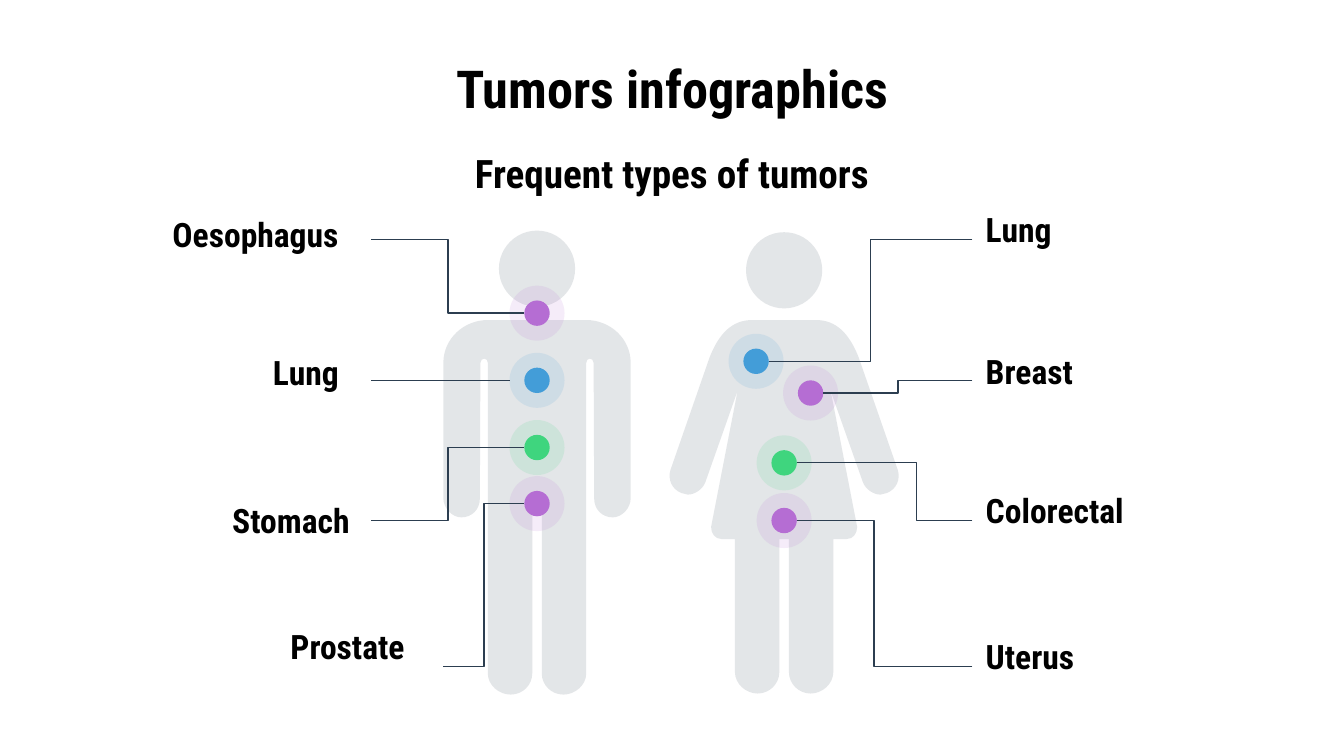
from lxml.etree import SubElement
from pptx import Presentation
from pptx.dml.color import RGBColor
from pptx.enum.shapes import MSO_CONNECTOR as Connector, MSO_SHAPE as Shape
from pptx.enum.text import MSO_ANCHOR as Anchor, PP_ALIGN as Align
from pptx.oxml.ns import qn
from pptx.util import Cm, Pt

FONT = "Roboto Condensed"
COLORS = {
    "text": "000000",
    "navy": "2C3E50",
    "purple": "B56DD3",
    "blue": "439DD8",
    "green": "3FD57E",
}
TINT = 13  # opacity of bodies and halos, in percent
MAN_AXIS, WOMAN_AXIS = 10.15, 14.82
HEAD, HALO, DOT = 1.44, 1.04, 0.48  # diameters
LABEL_HEIGHT = 0.76
LEFT_START, RIGHT_START = 7.02, 18.38

# Half outlines from shoulder to crotch: (distance from the axis, y).
# One point makes a straight line, three make a Bezier curve.
MAN_HALF = [
    [(0.93, 6.05)], [(1.38, 6.05), (1.77, 6.4), (1.77, 6.86)],
    [(1.77, 9.42)], [(1.77, 9.6), (1.61, 9.78), (1.43, 9.78)],
    [(1.23, 9.78), (1.08, 9.63), (1.08, 9.42)],
    [(1.07, 6.86)], [(1.07, 6.81), (1.03, 6.78), (1.0, 6.78)],
    [(0.96, 6.78), (0.93, 6.81), (0.93, 6.86)],
    [(0.93, 12.73)], [(0.93, 12.95), (0.72, 13.13), (0.5, 13.13)],
    [(0.27, 13.13), (0.09, 12.95), (0.09, 12.73)], [(0.09, 9.37)],
]
WOMAN_HALF = [
    [(0.6, 6.05)], [(0.98, 6.05), (1.23, 6.3), (1.41, 6.76)],
    [(2.15, 8.89)], [(2.2, 9.07), (2.12, 9.25), (1.94, 9.32)],
    [(1.89, 9.34), (1.87, 9.35), (1.82, 9.35)],
    [(1.69, 9.35), (1.54, 9.25), (1.49, 9.12)],
    [(0.88, 7.39)], [(1.38, 9.96)],
    [(1.38, 10.08), (1.31, 10.19), (1.18, 10.19)],
    [(0.93, 10.19)], [(0.93, 12.7)],
    [(0.93, 12.93), (0.72, 13.11), (0.5, 13.11)],
    [(0.28, 13.11), (0.09, 12.93), (0.09, 12.7)], [(0.09, 10.19)],
]

# Label, left, width and middle of the label box
LABELS = [
    ("Oesophagus", 3.01, 3.86, 4.43),
    ("Lung", 4.91, 1.96, 7.04),
    ("Stomach", 4.14, 2.9, 9.84),
    ("Prostate", 5.24, 3.15, 12.22),
    ("Lung", RIGHT_START, 5.72, 4.33),
    ("Breast", RIGHT_START, 5.72, 7.01),
    ("Colorectal", RIGHT_START, 5.72, 9.64),
    ("Uterus", RIGHT_START, 5.72, 12.4),
]

# Color, marker centre, connector start, gap before the centre, bend position
MARKERS = [
    ("purple", MAN_AXIS, 5.92, LEFT_START, 4.53, DOT / 2, 0.5),
    ("blue", MAN_AXIS, 7.19, LEFT_START, 7.19, HALO / 2, 0.5),
    ("green", MAN_AXIS, 8.46, LEFT_START, 9.84, DOT / 2, 0.5),
    ("purple", MAN_AXIS, 9.52, 8.38, 12.6, DOT / 2, 0.5),
    ("blue", 14.29, 6.83, RIGHT_START, 4.53, DOT / 2, 0.5),
    ("purple", 15.32, 7.43, RIGHT_START, 7.19, DOT / 2, 0.5),
    ("green", WOMAN_AXIS, 8.75, RIGHT_START, 9.84, DOT / 2, 0.32),
    ("purple", WOMAN_AXIS, 9.84, RIGHT_START, 12.6, DOT / 2, 0.56),
]


def paint(shape, color, opacity=100):
    shape.shadow.inherit = False
    shape.line.fill.background()
    shape.fill.solid()
    shape.fill.fore_color.rgb = RGBColor.from_string(COLORS[color])
    if opacity < 100:
        rgb = shape.fill._xPr.find(".//" + qn("a:srgbClr"))
        SubElement(rgb, qn("a:alpha"), val=str(opacity * 1000))


def add_circle(slide, x, y, diameter, color, opacity=100):
    circle = slide.shapes.add_shape(
        Shape.OVAL, Cm(x - diameter / 2), Cm(y - diameter / 2),
        Cm(diameter), Cm(diameter))
    paint(circle, color, opacity)


def mirror(half):
    """Walk the half outline backwards on the other side of the axis."""
    segments = [[half[-1][-1]]]
    for before, segment in zip(half[-2::-1], half[:0:-1]):
        segments.append(segment[-2::-1] + [before[-1]])
    return [[(-x, y) for x, y in segment] for segment in segments]


def add_body(slide, axis, half):
    segments = [
        [(Cm(axis - x), Cm(y)) for x, y in segment]
        for segment in half + mirror(half)]
    ends = [segment[-1] for segment in segments]
    builder = slide.shapes.build_freeform(*ends[0])
    builder.add_line_segments(ends[1:], close=True)
    body = builder.convert_to_shape()
    paint(body, "navy", TINT)

    # Turn the lines that stand for curves into Bezier curves
    left, top = min(x for x, y in ends), min(y for x, y in ends)
    lines = body._element.findall(".//" + qn("a:lnTo"))
    for line, segment in zip(lines, segments[1:]):
        if len(segment) == 3:
            line.clear()
            curve = line.getparent().makeelement(qn("a:cubicBezTo"))
            for x, y in segment:
                SubElement(curve, qn("a:pt"), x=str(x - left), y=str(y - top))
            line.getparent().replace(line, curve)


def add_text(slide, text, left, middle, width, size, align=Align.LEFT):
    box = slide.shapes.add_textbox(
        Cm(left), Cm(middle - LABEL_HEIGHT / 2), Cm(width), Cm(LABEL_HEIGHT))
    frame = box.text_frame
    frame.word_wrap = True
    frame.vertical_anchor = Anchor.MIDDLE
    frame.margin_top = frame.margin_bottom = Cm(0.25)
    frame.text = text
    paragraph = frame.paragraphs[0]
    paragraph.alignment = align
    font = paragraph.runs[0].font
    font.name, font.size, font.bold = FONT, Pt(size), True
    font.color.rgb = RGBColor.from_string(COLORS["text"])


def add_elbow(slide, start_x, start_y, end_x, end_y, bend):
    elbow = slide.shapes.add_connector(
        Connector.ELBOW, Cm(start_x), Cm(start_y), Cm(end_x), Cm(end_y))
    elbow.line.color.rgb = RGBColor.from_string(COLORS["navy"])
    elbow.line.width = Pt(0.75)
    properties = elbow._element.spPr
    SubElement(properties, qn("a:effectLst"))
    guides = properties.find(".//" + qn("a:avLst"))
    SubElement(guides, qn("a:gd"), name="adj1", fmla=f"val {round(bend * 100000)}")


def add_marker(slide, color, x, y, start_x, start_y, gap, bend):
    add_circle(slide, x, y, HALO, color, TINT)
    add_circle(slide, x, y, DOT, color)
    end_x = x - gap if start_x < x else x + gap
    add_elbow(slide, start_x, start_y, end_x, y, bend)


def main():
    presentation = Presentation()
    presentation.slide_width, presentation.slide_height = Cm(25.4), Cm(14.29)
    slide = presentation.slides.add_slide(presentation.slide_layouts[6])

    # Bodies with their heads
    for axis, head_y, half in ((MAN_AXIS, 5.08, MAN_HALF), (WOMAN_AXIS, 5.11, WOMAN_HALF)):
        add_body(slide, axis, half)
        add_circle(slide, axis, head_y, HEAD, "navy", TINT)

    # Headings
    add_text(slide, "Tumors infographics", 1.27, 1.66, 22.86, 28, Align.CENTER)
    add_text(slide, "Frequent types of tumors", 8.6, 3.26, 8.2, 21, Align.CENTER)

    # Labels
    for text, left, width, middle in LABELS:
        add_text(slide, text, left, middle, width, 18)

    # Markers with their connectors
    for marker in MARKERS:
        add_marker(slide, *marker)

    presentation.save("out.pptx")


if __name__ == "__main__":
    main()
